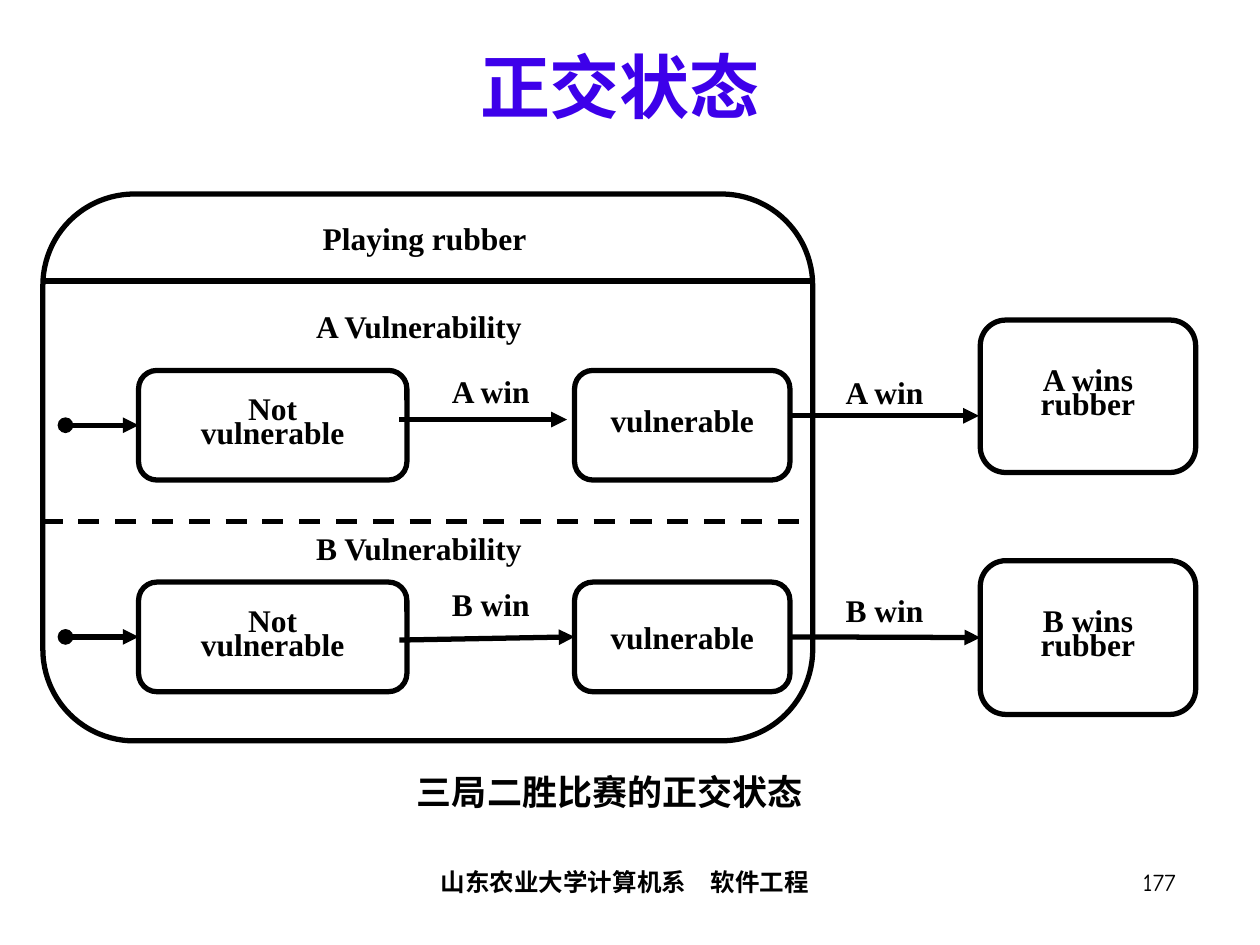
import pptx
import pptx.util
import pptx.dml.color
import pptx.enum.dml
import pptx.enum.shapes
import pptx.enum.text
import pptx.oxml.ns
from lxml import etree

SHAPE = pptx.enum.shapes.MSO_SHAPE
ALIGN = pptx.enum.text.PP_ALIGN
ANCHOR = pptx.enum.text.MSO_ANCHOR
qn = pptx.oxml.ns.qn

prs = pptx.Presentation()
prs.slide_width, prs.slide_height = pptx.util.Inches(10), pptx.util.Inches(7.5)
s = prs.slides.add_slide(prs.slide_layouts[5])

# Grid of 100 columns by 75 rows
COL, ROW = prs.slide_width / 100, prs.slide_height / 75
BLACK = pptx.dml.color.RGBColor.from_string("000000")


def put(text, x, y, w, h, sp=None, size=18, font="Times New Roman", color="000000",
        bold=True, align=ALIGN.CENTER, anchor=ANCHOR.MIDDLE, spacing=0.64, outline=False):
    """Place text in a box, an outlined rounded state or the given placeholder."""
    box = [int(x * COL), int(y * ROW), int(w * COL), int(h * ROW)]
    if outline:
        sp = s.shapes.add_shape(SHAPE.ROUNDED_RECTANGLE, *box)
        sp.adjustments[0] = 0.167
        sp.shadow.inherit = False
        sp.fill.background()
        sp.line.color.rgb = BLACK
        sp.line.width = pptx.util.Pt(3)
    elif sp is None:
        sp = s.shapes.add_textbox(*box)
    else:
        sp.left, sp.top, sp.width, sp.height = box
    tf = sp.text_frame
    tf.word_wrap = True
    tf.vertical_anchor = anchor
    tf.text = text
    for p in tf.paragraphs:
        p.alignment, p.line_spacing = align, spacing
        for r in p.runs:
            r.font.size, r.font.bold, r.font.name = pptx.util.Pt(size), bold, font
            r.font.color.rgb = pptx.dml.color.RGBColor.from_string(color)
            latin = r.font._element.find(qn("a:latin"))
            ea = etree.Element(qn("a:ea"), typeface="Noto Sans CJK SC")
            latin.addnext(ea)
    return sp


def line(x1, y1, x2, y2, head=None, tail=None, dash=False):
    c = s.shapes.add_connector(pptx.enum.shapes.MSO_CONNECTOR.STRAIGHT,
                               int(x1 * COL), int(y1 * ROW), int(x2 * COL), int(y2 * ROW))
    c.line.color.rgb = BLACK
    c.line.width = pptx.util.Pt(3)
    if dash:
        c.line.dash_style = pptx.enum.dml.MSO_LINE.DASH
    ln = c.line._get_or_add_ln()
    for tag, kind in (("a:headEnd", head), ("a:tailEnd", tail)):
        if kind:
            etree.SubElement(ln, qn(tag), type=kind)
    etree.SubElement(c._element.spPr, qn("a:effectLst"))
    return c


# Title and caption
put("正交状态", 6.7, 2.5, 85, 8.1, sp=s.shapes.title, size=40, font="Noto Sans CJK SC",
    color="3D00EA", anchor=ANCHOR.BOTTOM, spacing=1)
put("三局二胜比赛的正交状态", 28.5, 60.6, 39.8, 5.2, size=20, spacing=0.72)

# Composite state with its two regions
put("", 3.4, 15.4, 61.1, 43.4, outline=True)
line(3.4, 22.3, 64.5, 22.3)
line(3.3, 41.4, 64.5, 41.4, dash=True)
put("Playing rubber", 20.8, 16.7, 25.8, 5.2)

# One row per player: region label, state top, win label tops, end state top and height
players = [
    ("A", 23.7, 0.64, 29.4, 28.9, 28.9, 25.4, 12.1, 0.64),
    ("B", 41.4, 0.56, 46.2, 45.8, 46.2, 44.5, 12.2, 1),
]
states = {}
for name, label_y, label_ls, state_y, win_y, exit_y, end_y, end_h, state_ls in players:
    put(f"{name} Vulnerability", 22.8, label_y, 20.9, 5.2, spacing=label_ls)
    put(f"{name} win", 32.3, win_y, 13.3, 5.2, spacing=0.56)
    put(f"{name} win", 64.5, exit_y, 11.4, 5.2)
    start = put("Not\nvulnerable", 11, state_y, 21.3, 8.7, outline=True)
    vulnerable = put("vulnerable", 45.6, state_y, 17.1, 8.7, spacing=state_ls, outline=True)
    end = put(f"{name} wins rubber", 77.8, end_y, 17.1, end_h, outline=True)
    states[name] = vulnerable, end
    mid = state_y + 8.7 / 2
    line(5.2, mid, 11, mid, head="oval", tail="triangle").end_connect(start, 1)

# Transitions of player A
line(31.7, 33.3, 45, 33.3, tail="triangle")
line(62.5, 33, 77.7, 33, tail="triangle")

# Transitions of player B
vulnerable, end = states["B"]
line(31.7, 50.8, 45.6, 50.6, tail="triangle").end_connect(vulnerable, 1)
c = line(62.7, 50.6, 77.8, 50.6, tail="triangle")
c.begin_connect(vulnerable, 3)
c.end_connect(end, 1)

# Footer and page number
footer = dict(size=14, font="Comic Neue", anchor=ANCHOR.TOP, spacing=1)
put("山东农业大学计算机系　软件工程", 20, 68.3, 59.2, 5, **footer)
put("177", 73.5, 68.3, 20.8, 5, bold=False, align=ALIGN.RIGHT, **footer)

prs.save("out.pptx")
